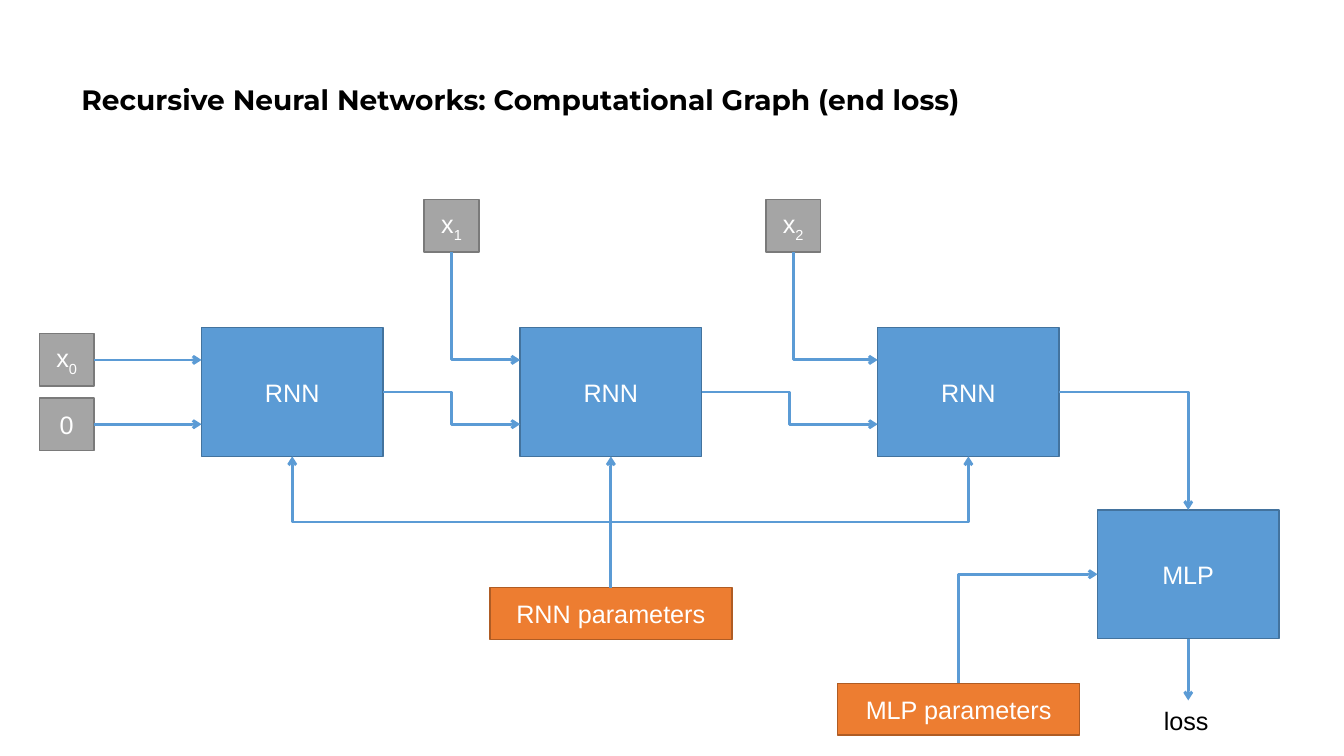
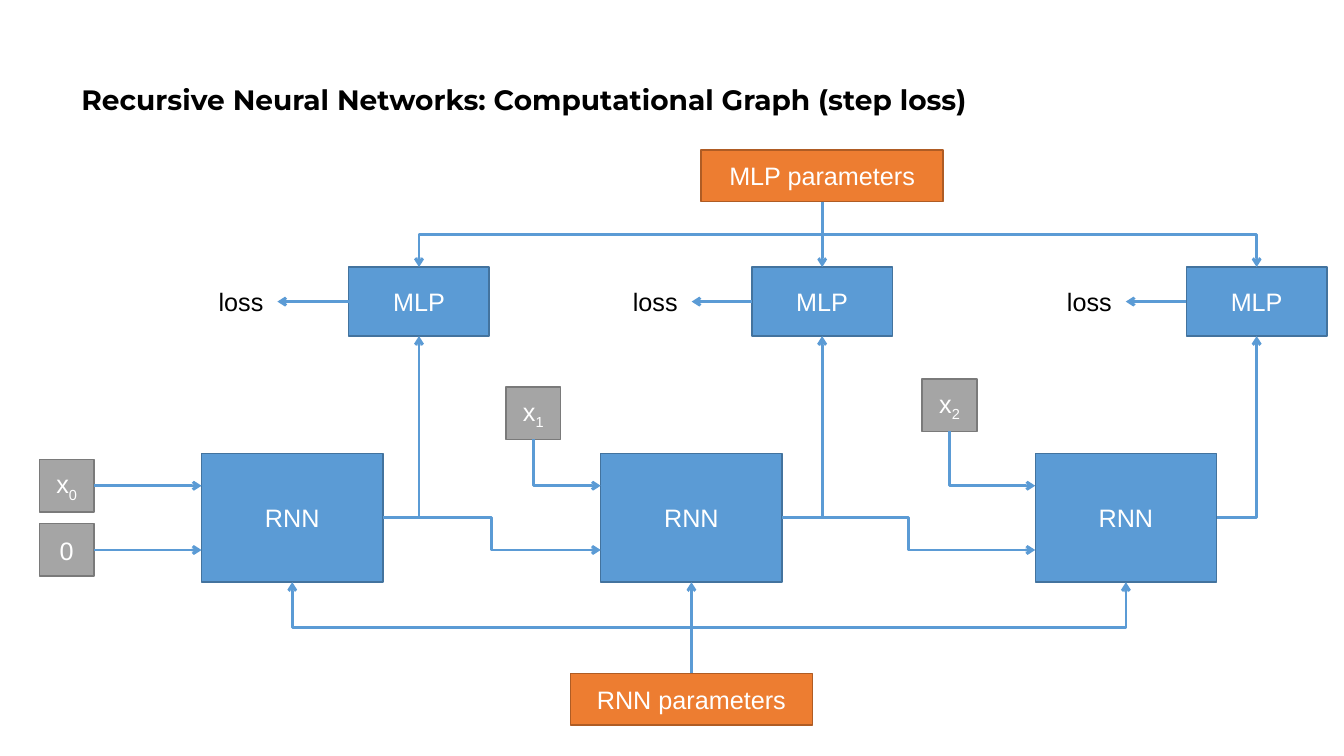
from dataclasses import dataclass

from lxml import etree
from pptx import Presentation
from pptx import util as u
from pptx.dml.color import RGBColor
from pptx.enum import shapes, text
from pptx.oxml.ns import qn


@dataclass(frozen=True)
class Theme:
    """Colours, fonts, type sizes and box sizes (cm)."""
    black: str = "000000"
    white: str = "FFFFFF"
    wire: str = "5B9BD5"
    input: tuple = ("A5A5A5", "7A7A7A")
    cell: tuple = ("5B9BD5", "43739E")
    params: tuple = ("ED7D31", "AF5C24")
    title_font: str = "Montserrat"
    body_font: str = "Arial"
    title_pt: int = 20
    body_pt: int = 18
    input_size: tuple = (1.38, 1.32)
    cell_size: tuple = (4.57, 3.24)
    head_size: tuple = (3.54, 1.74)
    params_size: tuple = (6.1, 1.3)
    loss_size: tuple = (1.73, 1.02)


# Connection sites of a rectangle: (index, x share, y share)
SITES = {"top": (0, 0.5, 0), "left": (1, 0, 0.5),
         "bottom": (2, 0.5, 1), "right": (3, 1, 0.5)}
VERTICAL = ("top", "bottom")


class Diagram:
    def __init__(self, prs, theme):
        self.prs, self.t, self.s = prs, theme, None

    def slide(self, title):
        self.s = self.prs.slides.add_slide(self.prs.slide_layouts[6])
        sp = self.s.shapes.add_textbox(u.Cm(1.8), u.Cm(0.71), u.Cm(29.21), u.Cm(3.68))
        tf = sp.text_frame
        tf.word_wrap = True
        tf.vertical_anchor = text.MSO_ANCHOR.MIDDLE
        tf.text = title
        tf.paragraphs[0].line_spacing = 0.9
        self.style(tf.paragraphs[0], self.t.title_font, self.t.title_pt, self.t.black, True)

    def style(self, p, font, size, color, bold=False):
        for r in p.runs:
            r.font.name, r.font.size, r.font.bold = font, u.Pt(size), bold
            r.font.color.rgb = RGBColor.from_string(color)

    def box(self, label, x, y, size, colors):
        """Filled box; "x_0" is shown as x with subscript 0."""
        sp = self.s.shapes.add_shape(shapes.MSO_SHAPE.RECTANGLE,
                                     *(u.Cm(v) for v in (x, y, *size)))
        sp.shadow.inherit = False
        sp.fill.solid()
        sp.fill.fore_color.rgb = RGBColor.from_string(colors[0])
        sp.line.color.rgb = RGBColor.from_string(colors[1])
        sp.line.width = u.Pt(1)
        tf = sp.text_frame
        tf.vertical_anchor = text.MSO_ANCHOR.MIDDLE
        p = tf.paragraphs[0]
        p.alignment = text.PP_ALIGN.CENTER
        p.text, _, index = label.partition("_")
        if index:
            r = p.add_run()
            r.text = index
            r.font._element.set("baseline", "-25000")
        self.style(p, self.t.body_font, self.t.body_pt, self.t.white)
        return sp

    def input(self, label, x, y):
        return self.box(label, x, y, self.t.input_size, self.t.input)

    def cell(self, label, x, y):
        return self.box(label, x, y, self.t.cell_size, self.t.cell)

    def head(self, x, y):
        return self.box("MLP", x, y, self.t.head_size, self.t.cell)

    def params(self, label, x, y):
        return self.box(label, x, y, self.t.params_size, self.t.params)

    def loss(self, x, y):
        sp = self.s.shapes.add_textbox(*(u.Cm(v) for v in (x, y, *self.t.loss_size)))
        tf = sp.text_frame
        tf.word_wrap = False
        tf.auto_size = text.MSO_AUTO_SIZE.SHAPE_TO_FIT_TEXT
        tf.text = "loss"
        self.style(tf.paragraphs[0], self.t.body_font, self.t.body_pt, self.t.black)
        return sp

    def wire(self, a, a_side, b, b_side, share=None):
        """Arrow from a to b; share places the end down b's side, off its site."""
        a_site, ax, ay = SITES[a_side]
        b_site, bx, by = SITES[b_side]
        by = by if share is None else share
        x1, y1 = a.left + a.width * ax, a.top + a.height * ay
        x2, y2 = b.left + b.width * bx, b.top + b.height * by
        dx, dy = x2 - x1, y2 - y1
        straight = min(abs(dx), abs(dy)) < u.Cm(0.05)
        kind = shapes.MSO_CONNECTOR.STRAIGHT if straight else shapes.MSO_CONNECTOR.ELBOW
        turned = not straight and a_side in VERTICAL
        if turned:
            # An elbow that leaves vertically is a quarter-turned one
            cx, cy = (x1 + x2) / 2, (y1 + y2) / 2
            half = abs(dx) / 2 * (1 if (dx > 0) == (dy > 0) else -1)
            x1, x2 = cx - abs(dy) / 2, cx + abs(dy) / 2
            y1, y2 = cy + half, cy - half
        ends = [u.Emu(round(v)) for v in (x1, y1, x2, y2)]
        sp = self.s.shapes.add_connector(kind, *ends)
        sp.begin_connect(a, a_site)
        if share is None:
            sp.end_connect(b, b_site)
        sp.begin_x, sp.begin_y, sp.end_x, sp.end_y = ends
        sp.line.color.rgb = RGBColor.from_string(self.t.wire)
        sp.line.width = u.Pt(2)
        pr = sp.element.spPr
        if turned:
            pr.find(qn("a:xfrm")).set("rot", str((90 if dy > 0 else 270) * 60000))
        if not straight and (a_side in VERTICAL) != (b_side in VERTICAL):
            pr.find(qn("a:prstGeom")).set("prst", "bentConnector2")
        etree.SubElement(pr.find(qn("a:ln")), qn("a:tailEnd")).set("type", "arrow")
        etree.SubElement(pr, qn("a:effectLst"))

    def chain(self, xs, y, inputs, params_y):
        """Unrolled RNN: cells, their inputs and the shared parameters."""
        cells = [self.cell("RNN", x, y) for x in xs]
        first = self.input("x_0", 0.99, y + 0.15)
        start = self.input("0", 0.99, y + 1.77)
        self.wire(first, "right", cells[0], "left", 0.25)
        self.wire(start, "right", cells[0], "left", 0.75)
        for i, place in enumerate(inputs, 1):
            self.wire(self.input(f"x_{i}", *place), "bottom", cells[i], "left", 0.25)
            self.wire(cells[i - 1], "right", cells[i], "left", 0.75)
        shift = (self.t.cell_size[0] - self.t.params_size[0]) / 2
        shared = self.params("RNN parameters", xs[1] + shift, params_y)
        for sp in cells:
            self.wire(shared, "top", sp, "bottom")
        return cells


prs = Presentation()
prs.slide_width, prs.slide_height = u.Cm(33.87), u.Cm(19.05)
d = Diagram(prs, Theme())

# Loss after the last step
d.slide("Recursive Neural Networks: Computational Graph (end loss)")
cells = d.chain((5.08, 13.11, 22.12), 8.26, ((10.69, 5.03), (19.3, 5.03)), 14.81)
mlp = d.cell("MLP", 27.66, 12.85)
d.wire(cells[-1], "right", mlp, "top")
d.wire(mlp, "bottom", d.loss(29.08, 17.65), "top")
d.wire(d.params("MLP parameters", 21.11, 17.22), "top", mlp, "left")

# Loss at every step
d.slide("Recursive Neural Networks: Computational Graph (step loss)")
cells = d.chain((5.08, 15.14, 26.09), 11.43, ((12.75, 9.75), (23.24, 9.55)), 16.97)
shared = d.params("MLP parameters", 17.67, 3.78)
for sp, x, loss_x in zip(cells, (8.79, 18.95, 29.9), (5.26, 15.7, 26.64)):
    mlp = d.head(x, 6.73)
    d.wire(sp, "right", mlp, "bottom")
    d.wire(shared, "bottom", mlp, "top")
    d.wire(mlp, "left", d.loss(loss_x, 7.09), "right")

prs.save("out.pptx")
